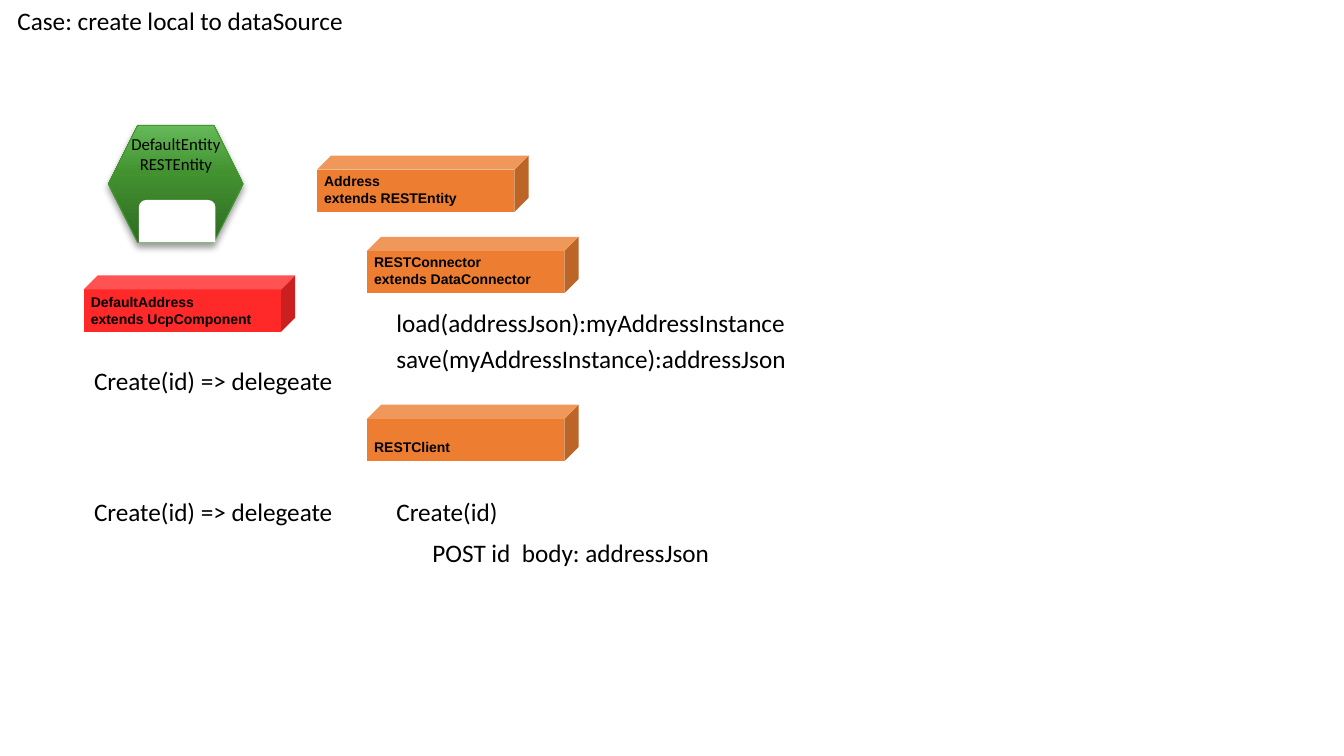
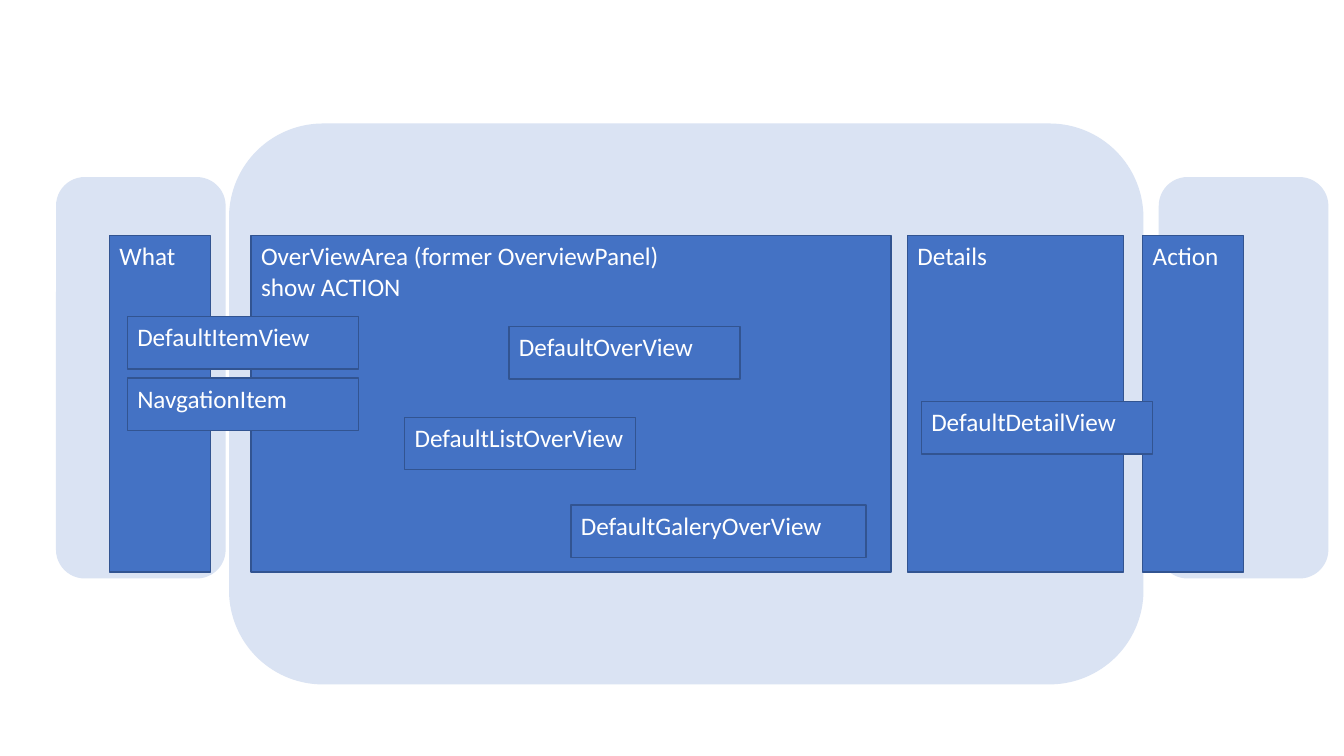
from copy import deepcopy
from dataclasses import dataclass

from lxml.etree import SubElement
from pptx import Presentation
from pptx.dml.color import RGBColor
from pptx.enum.shapes import MSO_SHAPE
from pptx.enum.text import MSO_ANCHOR, MSO_AUTO_SIZE, PP_ALIGN
from pptx.oxml.ns import qn
from pptx.util import Cm, Pt


@dataclass(frozen=True)
class Theme:
    black: str = "000000"
    white: str = "FFFFFF"
    orange: str = "ED7D31"
    red: str = "FF2929"
    blue: str = "4472C4"
    navy: str = "325491"
    pale: str = "DAE3F3"
    green: str = "439631"
    greens: tuple = ((0, "2F6B22"), (0.6, "429230"), (1, "66B959"))
    font: str = "Calibri"
    code: str = "Arial"
    body: int = 18
    label: int = 12
    small: int = 10


THEME = Theme()

# Content of slide 1, in cm: text, left, top, width
NOTES = [
    ("Case: create local to dataSource", 0.19, 0, 8.81),
    ("Create(id) => delegeate", 2.12, 9.07, 6.6),
    ("Create(id) => delegeate", 2.12, 12.39, 6.6),
    ("Create(id)", 9.74, 12.39, 3.1),
    ("POST id  body: addressJson", 10.65, 13.41, 7.57),
    ("load(addressJson):myAddressInstance", 9.74, 7.62, 10.57),
    ("save(myAddressInstance):addressJson", 9.74, 8.53, 10.44),
]
NOTE_H = 1.02

# Text, left, top, colour, top inset
CUBES = [
    ("Address\vextends RESTEntity", 7.99, 3.92, THEME.orange, 0.03),
    ("DefaultAddress\vextends UcpComponent", 2.11, 6.94, THEME.red, 0.05),
    ("RESTClient", 9.25, 10.2, THEME.orange, 0.43),
    ("RESTConnector\vextends DataConnector", 9.25, 5.97, THEME.orange, 0),
]
CUBE_W, CUBE_H = 5.33, 1.42

ENTITY = "DefaultEntity\nRESTEntity"
HEXAGON = (2.73, 3.16, 3.4, 2.95)
NOTCH = (3.5, 5.04, 1.93, 1.07)
ENTITY_BOX = (3.05, 3.25, 2.77, 1.27)

# Content of slide 2, from back to front: kind, text, left, then
# top for a view, and width where it differs from the kind's own
PARTS = [
    ("drawer", "", 1.43),
    ("frame", "", 5.79),
    ("panel", "What", 2.76),
    ("panel", "OverViewArea (former OverviewPanel)\vshow ACTION", 6.33, None, 16.13),
    ("panel", "Details", 22.87, None, 5.44),
    ("drawer", "", 29.22),
    ("panel", "Action", 28.8),
    ("view", "DefaultItemView", 3.21, 7.98),
    ("view", "DefaultOverView", 12.83, 8.23),
    ("view", "DefaultDetailView", 23.22, 10.12),
    ("view", "NavgationItem", 3.21, 9.53),
    ("view", "DefaultListOverView", 10.2, 10.52),
    ("view", "DefaultGaleryOverView", 14.39, 12.73, 7.44),
]

# Kind: shape, top, width, height, fill, line
ROUND, RECT = MSO_SHAPE.ROUNDED_RECTANGLE, MSO_SHAPE.RECTANGLE
KINDS = {
    "drawer": (ROUND, 4.48, 4.24, 10.08, THEME.pale, THEME.pale),
    "frame": (ROUND, 3.13, 23.01, 14.1, THEME.pale, THEME.pale),
    "panel": (RECT, 5.94, 2.54, 8.48, THEME.blue, THEME.navy),
    "view": (RECT, 0, 5.82, 1.32, THEME.blue, THEME.navy),
}


# Shared helpers
def rgb(code):
    return RGBColor.from_string(code)


def place(box):
    return [Cm(side) for side in box]


def write(frame, text, size, color, font=THEME.font, bold=False,
          align=PP_ALIGN.LEFT, anchor=MSO_ANCHOR.TOP):
    frame.text = text
    frame.vertical_anchor = anchor
    for para in frame.paragraphs:
        para.alignment = align
        para.font.name, para.font.size = font, Pt(size)
        para.font.bold = bold
        para.font.color.rgb = rgb(color)


def add_box(shapes, kind, box, fill, line=None, width=1):
    shape = shapes.add_shape(kind, *place(box))
    shape.shadow.inherit = False
    shape.fill.solid()
    shape.fill.fore_color.rgb = rgb(fill)
    if line:
        shape.line.color.rgb = rgb(line)
        shape.line.width = Pt(width)
    else:
        shape.line.fill.background()
    return shape


def add_note(slide, text, box, size=THEME.body, align=PP_ALIGN.LEFT):
    frame = slide.shapes.add_textbox(*place(box)).text_frame
    frame.word_wrap = False
    frame.auto_size = MSO_AUTO_SIZE.SHAPE_TO_FIT_TEXT
    write(frame, text, size, THEME.black, align=align)


def shade(shape):
    """Three-stop upward gradient and a soft shadow below."""
    shape.fill.gradient()
    shape.fill.gradient_angle = 90
    props = shape.element.spPr
    stops = props.find(qn("a:gradFill")).find(qn("a:gsLst"))
    stops.append(deepcopy(stops[0]))
    for stop, (pos, color) in zip(shape.fill.gradient_stops, THEME.greens):
        stop.position = pos
        stop.color.rgb = rgb(color)
    shadow = SubElement(props.find(qn("a:effectLst")), qn("a:outerShdw"),
                        blurRad=str(Pt(5.2)), dist=str(Pt(3)),
                        dir="5400000", rotWithShape="0")
    tint = SubElement(shadow, qn("a:srgbClr"), val=THEME.black)
    SubElement(tint, qn("a:alpha"), val="40000")


# Slide 1: entity, classes and calls
def draw_case(slide):
    group = slide.shapes.add_group_shape()
    shade(add_box(group.shapes, MSO_SHAPE.HEXAGON, HEXAGON,
                  THEME.green, THEME.green, 0.75))
    add_box(group.shapes, MSO_SHAPE.ROUND_2_SAME_RECTANGLE, NOTCH, THEME.white)
    add_note(slide, ENTITY, ENTITY_BOX, THEME.label, PP_ALIGN.CENTER)
    for text, left, top, color, inset in CUBES:
        cube = add_box(slide.shapes, MSO_SHAPE.CUBE,
                       (left, top, CUBE_W, CUBE_H), color)
        frame = cube.text_frame
        frame.margin_left = frame.margin_right = Cm(0.18)
        frame.margin_top, frame.margin_bottom = Cm(inset), Cm(0.08)
        write(frame, text, THEME.small, THEME.black, THEME.code, True,
              anchor=MSO_ANCHOR.MIDDLE)
    for text, left, top, width in NOTES:
        add_note(slide, text, (left, top, width, NOTE_H))


# Slide 2: layout of panels and views
def draw_views(slide):
    for kind, text, left, *rest in PARTS:
        form, top, width, height, fill, line = KINDS[kind]
        own_top, own_width = (rest + [None, None])[:2]
        box = (left, own_top or top, own_width or width, height)
        shape = add_box(slide.shapes, form, box, fill, line)
        if text:
            write(shape.text_frame, text, THEME.body, THEME.white)


def main():
    deck = Presentation()
    deck.slide_width, deck.slide_height = Cm(33.87), Cm(19.05)
    for draw in (draw_case, draw_views):
        draw(deck.slides.add_slide(deck.slide_layouts[6]))
    deck.save("out.pptx")


if __name__ == "__main__":
    main()
